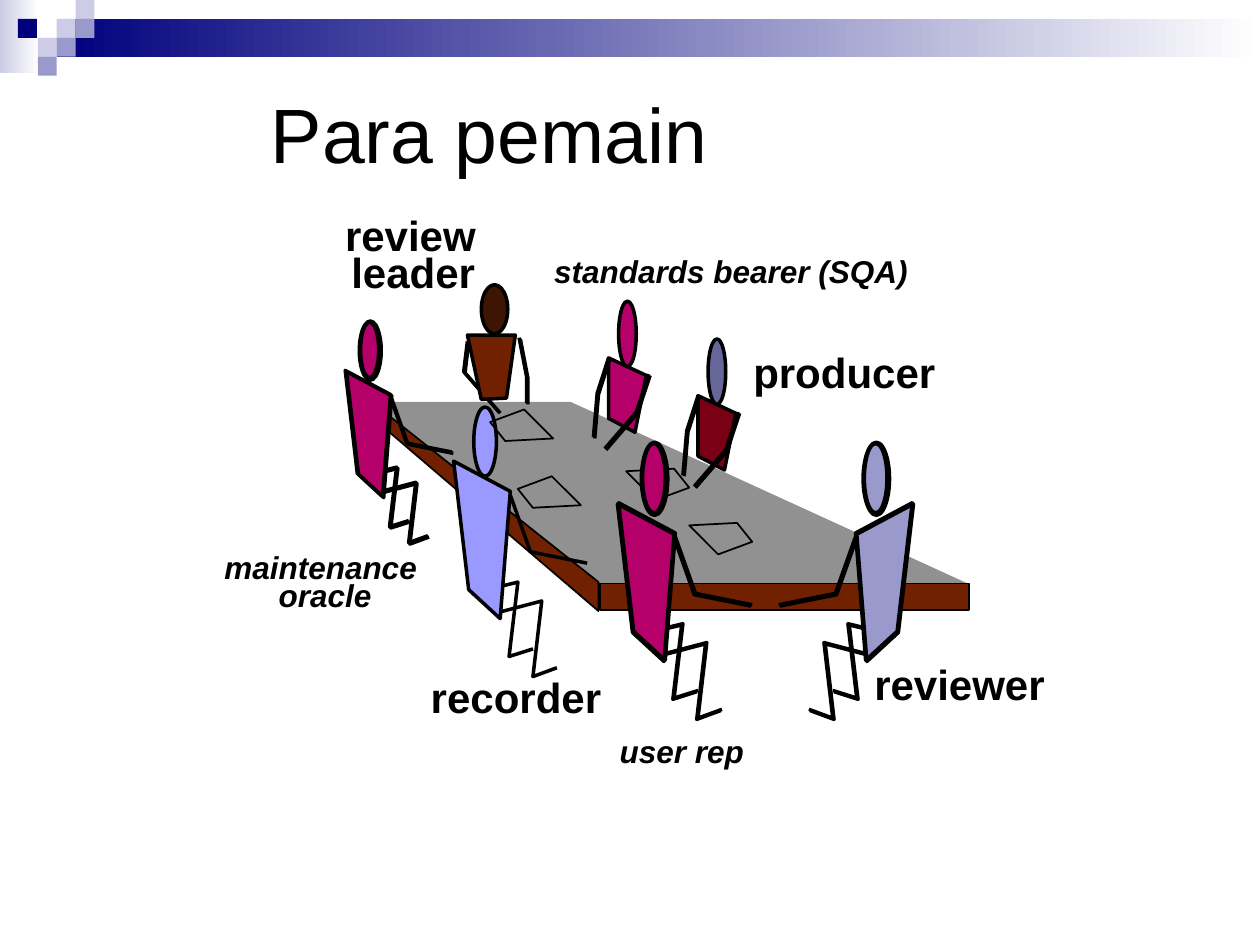
from pptx import Presentation
from pptx.dml.color import RGBColor
from pptx.enum import shapes, text
from pptx.oxml import parse_xml
from pptx.oxml.ns import nsdecls
from pptx.util import Inches, Pt

RECT, OVAL = shapes.MSO_SHAPE.RECTANGLE, shapes.MSO_SHAPE.OVAL
WHITE, BLACK, BROWN, PINK = "FFFFFF", "000000", "712000", "B50069"
PALE, MID, NAVY = "CCCCE6", "9999CC", "00007D"
NUDGE = 0.01


def rgb(code):
    return RGBColor.from_string(code)


def paint(shape, fill=None, width=2):
    shape.shadow.inherit = False
    if fill:
        shape.fill.solid()
        shape.fill.fore_color.rgb = rgb(fill)
    else:
        shape.fill.background()
    if width:
        shape.line.color.rgb = rgb(BLACK)
        shape.line.width = Pt(width)
        shape.line._get_or_add_ln().append(parse_xml(f"<a:round {nsdecls('a')}/>"))
    else:
        shape.line.fill.background()
    return shape


def add(slide, kind, box, fill=None, width=2):
    return paint(slide.shapes.add_shape(kind, *map(Inches, box)), fill, width)


def path(slide, points, fill=None, width=2, close=False):
    spots = [(Inches(x), Inches(y)) for x, y in points]
    pen = slide.shapes.build_freeform(*spots[0])
    pen.add_line_segments(spots[1:], close=close)
    return paint(pen.convert_to_shape(), fill, width)


def move(points, x, y, size=1, turn=1):
    """Place unit points at a corner; turn -1 mirrors them."""
    return [(x + turn * size * a, y + size * b) for a, b in points]


def limb(slide, points, twin=True, side=-1):
    """Draw a limb, thickened by a second stroke beside it."""
    path(slide, points)
    if twin:
        path(slide, move(points, side * NUDGE, -NUDGE))


def head(slide, box, inner, outer=None, twin=True):
    x, y, w, h = box
    add(slide, OVAL, box, inner)
    if twin:
        add(slide, OVAL, (x - NUDGE, y - NUDGE, w + 0.03, h + 0.03), outer)


def banner(slide):
    for box, tint in (((0, 0, 0.31, 0.58), PALE), ((0.45, 0.15, 9.55, 0.3), NAVY)):
        bar = add(slide, RECT, box, WHITE, 0)
        bar.fill.gradient()
        bar.fill.gradient_angle = 0
        for stop, code in zip(bar.fill.gradient_stops, (tint, WHITE)):
            stop.color.rgb = rgb(code)
    # Checker squares by column and row
    cell = 0.15
    for col, row, tint in ((3, 1, PALE), (4, 0, PALE), (4, 1, MID), (2, 2, PALE),
                           (0.95, 1, NAVY), (3, 2, MID), (2, 3, MID)):
        add(slide, RECT, (col * cell, row * cell, cell, cell), tint, 0)


def style(frame, lines, **look):
    """Fill a text frame and format each line."""
    frame.text = "\n".join(lines)
    for para in frame.paragraphs:
        for key, value in look.get("para", {}).items():
            setattr(para, key, value)
        font = para.runs[0].font
        font.color.rgb = rgb(BLACK)
        for key, value in {"name": "Arial", **look["font"]}.items():
            setattr(font, key, value)


def heading(slide, box):
    title = slide.shapes.title
    title.left, title.top, title.width, title.height = map(Inches, box)
    title.text_frame.vertical_anchor = text.MSO_ANCHOR.MIDDLE
    style(title.text_frame, ["Para pemain"], font={"size": Pt(44)},
          para={"alignment": text.PP_ALIGN.LEFT})


def label(slide, box, lines, minor=False):
    frame = slide.shapes.add_textbox(*map(Inches, box)).text_frame
    frame.word_wrap = False
    frame.auto_size = text.MSO_AUTO_SIZE.SHAPE_TO_FIT_TEXT
    para = {"alignment": text.PP_ALIGN.CENTER, "line_spacing": 0.75} if len(lines) > 1 else {}
    style(frame, lines, para=para,
          font={"size": Pt(18 if minor else 24), "bold": True, "italic": minor})


def table(slide, x, y):
    """Meeting table, placed by its back left corner."""
    path(slide, move([(0, 0), (1.58, 0), (4.75, 1.45), (1.8, 1.45)], x, y), "919191", 0, True)
    add(slide, RECT, (x + 1.81, y + 1.44, 2.93, 0.21), BROWN, 1)
    path(slide, move([(1.8, 1.43), (0, 0), (0, 0.12), (1.8, 1.66)], x, y), BROWN, 1, True)


def papers(slide):
    sheet = [(0.12, 0.25), (0.5, 0.23), (0.27, 0), (0, 0.1)]
    turned = [(0.5 - x, 0.25 - y) for x, y in sheet]
    for x, y, form in ((4.11, 3.78, sheet), (5.47, 4.15, turned),
                       (4.97, 3.72, turned), (3.89, 3.25, sheet)):
        path(slide, move(form, x, y), width=1, close=True)


def sitter(slide, x, y, tint, size=1, turn=1, face=(0.2, -0.48), twin=True, side=-1):
    """Seated person, placed by the top outer corner of the body."""
    def at(points):
        return move(points, x, y, size, turn)

    for leg in ([(0.14, 1.05), (0.51, 0.96), (0.44, 1.55), (0.63, 1.49)],
                [(0.32, 1.21), (0.7, 1.11), (0.63, 1.71), (0.82, 1.64)]):
        limb(slide, at(leg), twin, side)
    body = at([(0.12, 1.02), (0, 0), (0.45, 0.24), (0.37, 1.25)])
    path(slide, body, tint, close=True)
    if twin:
        path(slide, move(body, side * NUDGE, -NUDGE), close=True)
    w, h = 0.18 * size, 0.55 * size
    (left, top), = at([face])
    head(slide, (left if turn > 0 else left - w, top, w, h), tint, twin=twin)
    limb(slide, at([(0.45, 0.27), (0.61, 0.72), (1.06, 0.81)]), twin, side)


def torso(slide, x, y, tint):
    path(slide, move([(0, 0.48), (0, 0), (0.3, 0.14), (0.21, 0.59)], x, y), tint, close=True)


def upper(slide, x, y, tint):
    """Head and arms of a person at the far side."""
    head(slide, (x + 0.09, y - 0.44, 0.11, 0.49), WHITE, tint)
    limb(slide, move([(0.33, 0.14), (0.23, 0.44), (-0.02, 0.73)], x, y))
    limb(slide, move([(0.01, 0.01), (-0.08, 0.29), (-0.11, 0.64)], x, y))


def leader(slide, x, y):
    limb(slide, move([(0.01, 0.06), (-0.02, 0.3), (0.26, 0.62)], x, y))
    limb(slide, move([(0.42, 0.03), (0.48, 0.34), (0.48, 0.55)], x, y))
    head(slide, (x + 0.12, y - 0.39, 0.18, 0.36), WHITE, "3E1403")
    path(slide, move([(0, 0), (0.38, 0), (0.31, 0.5), (0.11, 0.51)], x, y), BROWN, close=True)


def main():
    deck = Presentation()
    deck.slide_width, deck.slide_height = Inches(10), Inches(7.5)
    slide = deck.slides.add_slide(deck.slide_layouts[5])
    banner(slide)
    heading(slide, (2.05, 0.66, 6.14, 0.79))

    # Table and people, from back to front
    torso(slide, 5.54, 3.14, "790015")
    table(slide, 2.95, 3.19)
    sitter(slide, 3.6, 3.66, "9999FF", face=(0.16, -0.43), twin=False)
    sitter(slide, 7.25, 4, MID, turn=-1, face=(0.21, -0.48))
    leader(slide, 3.71, 2.66)
    upper(slide, 5.54, 3.14, "666699")
    papers(slide)
    torso(slide, 4.83, 2.84, PINK)
    upper(slide, 4.83, 2.84, PINK)
    sitter(slide, 2.75, 2.95, PINK, size=0.8, face=(0.14, -0.49))
    sitter(slide, 4.9, 4, PINK, side=1)

    # Role names
    for box, name in (((2.64, 1.61, 1.26, 0.5), "review"), ((2.69, 1.91, 1.2, 0.5), "leader"),
                      ((5.88, 2.7, 1.68, 0.5), "producer"), ((3.32, 5.28, 1.58, 0.5), "recorder"),
                      ((6.84, 5.18, 1.58, 0.5), "reviewer")):
        label(slide, box, [name])
    for box, lines in (((4.3, 1.95, 3.05, 0.4), ["standards bearer (SQA)"]),
                       ((1.68, 4.37, 1.8, 0.55), ["maintenance ", "oracle"]),
                       ((4.82, 5.76, 1.21, 0.4), ["user rep"])):
        label(slide, box, lines, minor=True)
    deck.save("out.pptx")


if __name__ == "__main__":
    main()
